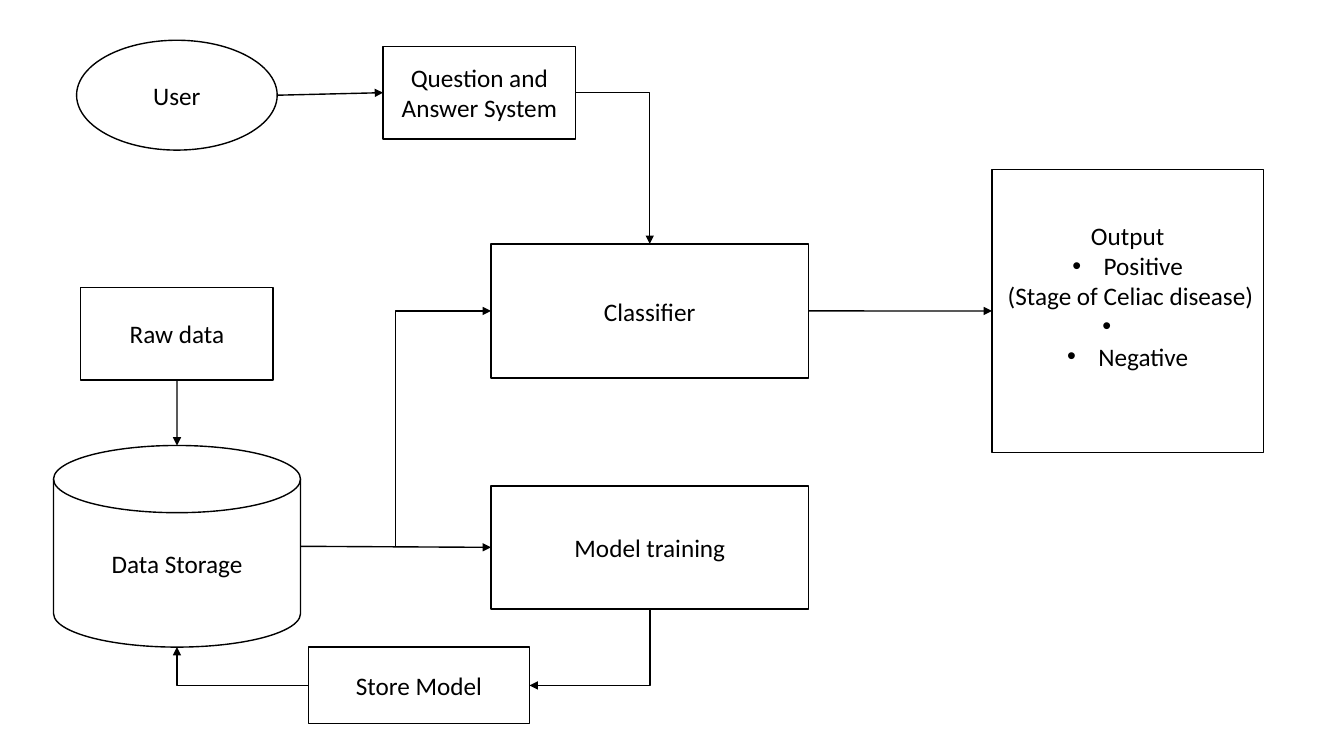
from dataclasses import dataclass

from lxml.etree import SubElement
from pptx import Presentation
from pptx.dml.color import RGBColor
from pptx.enum.shapes import MSO_CONNECTOR, MSO_SHAPE
from pptx.enum.text import MSO_ANCHOR, PP_ALIGN
from pptx.oxml.ns import qn
from pptx.util import Inches, Pt


@dataclass(frozen=True)
class Theme:
    """Colours, type and line sizes of the slide."""
    ink: RGBColor = RGBColor(0, 0, 0)
    paper: RGBColor = RGBColor(255, 255, 255)
    font: str = "Calibri"
    text_size: int = 18
    line_width: int = 1
    bullet_indent: float = 0.31


@dataclass(frozen=True)
class Box:
    """An area whose inner areas are given in percent of its size."""
    left: int
    top: int
    width: int
    height: int

    def area(self, x, y, width, height):
        """Return the area at the given percentages of this one."""
        return Box(int(self.left + self.width * x / 100),
                   int(self.top + self.height * y / 100),
                   int(self.width * width / 100),
                   int(self.height * height / 100))


THEME = Theme()
SIDES = ("top", "left", "bottom", "right")
# Connection site numbers of each preset, by side
SITES = {
    MSO_SHAPE.RECTANGLE: dict(zip(SIDES, (0, 1, 2, 3))),
    MSO_SHAPE.OVAL: dict(zip(SIDES, (0, 2, 4, 6))),
    MSO_SHAPE.FLOWCHART_MAGNETIC_DISK: dict(zip(SIDES, (1, 2, 3, 4))),
}


def write(frame, lines, bulleted=(), align=PP_ALIGN.CENTER,
          size=THEME.text_size, color=THEME.ink, bottom_inset=None):
    """Fill a text frame with one paragraph per line, bulleting some."""
    frame.word_wrap = True
    frame.vertical_anchor = MSO_ANCHOR.MIDDLE
    if bottom_inset is not None:
        frame.margin_bottom = bottom_inset
    for number, line in enumerate(lines):
        paragraph = frame.add_paragraph() if number else frame.paragraphs[0]
        paragraph.alignment = align
        run = paragraph.add_run()
        run.text = line
        run.font.name, run.font.size = THEME.font, Pt(size)
        run.font.color.rgb = color
        if number in bulleted:
            properties = paragraph._p.get_or_add_pPr()
            indent = Inches(THEME.bullet_indent)
            properties.set("marL", str(indent))
            properties.set("indent", str(-indent))
            SubElement(properties, qn("a:buFont")).set("typeface", "Arial")
            SubElement(properties, qn("a:buChar")).set("char", "•")


def add_node(slide, box, *lines, preset=MSO_SHAPE.RECTANGLE, **text_format):
    """Draw one outlined step of the flow with its label."""
    node = slide.shapes.add_shape(preset, box.left, box.top, box.width, box.height)
    node.shadow.inherit = False
    node.fill.solid()
    node.fill.fore_color.rgb = THEME.paper
    node.line.color.rgb = THEME.ink
    node.line.width = Pt(THEME.line_width)
    write(node.text_frame, lines, **text_format)
    return node


def side_point(node, side):
    """Return the middle of one side of a node."""
    across = {"left": 0, "right": node.width}.get(side, node.width // 2)
    down = {"top": 0, "bottom": node.height}.get(side, node.height // 2)
    return node.left + across, node.top + down


def turn_corner(arrow, start_side):
    """Give an elbow a single corner; one leaving a bottom runs down, then left."""
    arrow.element.spPr.find(qn("a:prstGeom")).set("prst", "bentConnector2")
    if start_side == "bottom":
        middle_x = arrow.left + arrow.width // 2
        middle_y = arrow.top + arrow.height // 2
        arrow.width, arrow.height = arrow.height, arrow.width
        arrow.left = middle_x - arrow.width // 2
        arrow.top = middle_y - arrow.height // 2
        frame = arrow.element.spPr.find(qn("a:xfrm"))
        frame.attrib.pop("flipH", None)
        frame.set("rot", str(90 * 60000))


def connect(slide, source, start_side, target, end_side, corners=0):
    """Draw an arrow glued to two nodes, with no, one or two corners."""
    kind = MSO_CONNECTOR.ELBOW if corners else MSO_CONNECTOR.STRAIGHT
    arrow = slide.shapes.add_connector(
        kind, *side_point(source, start_side), *side_point(target, end_side))
    arrow.line.color.rgb = THEME.ink
    arrow.line.width = Pt(THEME.line_width)
    if corners == 1:
        turn_corner(arrow, start_side)
    glue = arrow.element.nvCxnSpPr.cNvCxnSpPr
    for tag, node, side in (("a:stCxn", source, start_side),
                            ("a:endCxn", target, end_side)):
        site = SubElement(glue, qn(tag))
        site.set("id", str(node.shape_id))
        site.set("idx", str(SITES[node.auto_shape_type][side]))
    outline = arrow.element.spPr.find(qn("a:ln"))
    SubElement(outline, qn("a:tailEnd")).set("type", "triangle")
    SubElement(arrow.element.spPr, qn("a:effectLst"))


def build_query(slide, box):
    """Place the user and the question system; return the latter."""
    user = add_node(slide, box.area(0, 0, 40.2, 100), "User", preset=MSO_SHAPE.OVAL)
    questions = add_node(slide, box.area(61.41, 5.5, 38.59, 84.4),
                         "Question and Answer System")
    connect(slide, user, "right", questions, "left")
    return questions


def build_training(slide, box):
    """Place the data and model training loop; return the data storage."""
    raw_data = add_node(slide, box.area(3.6, 0, 25.5, 21.25), "Raw data")
    storage = add_node(slide, box.area(0, 36.26, 32.71, 46.19), "Data Storage",
                       preset=MSO_SHAPE.FLOWCHART_MAGNETIC_DISK)
    training = add_node(slide, box.area(57.94, 45.5, 42.06, 28.18), "Model training")
    store_model = add_node(slide, box.area(33.78, 82.45, 29.24, 17.55), "Store Model")
    connect(slide, raw_data, "bottom", storage, "top")
    connect(slide, storage, "right", training, "left")
    connect(slide, training, "bottom", store_model, "right", corners=1)
    connect(slide, store_model, "left", storage, "bottom", corners=1)
    return storage


def build_classification(slide, box):
    """Place the classifier and its output; return the classifier."""
    classifier = add_node(slide, box.area(0, 26.33, 41.12, 47.33), "Classifier")
    output = add_node(slide, box.area(64.88, 0, 35.12, 100),
                      "Output", "Positive", " (Stage of Celiac disease)",
                      "\t", "Negative", bulleted=(1, 3, 4),
                      bottom_inset=box.area(0, 0, 0, 12.6).height)
    connect(slide, classifier, "right", output, "left")
    return classifier


def build_flow(slide, box):
    """Place the three regions of the flow and join them."""
    questions = build_query(slide, box.area(5.7, 5.33, 37.13, 14.53))
    storage = build_training(slide, box.area(3.98, 38, 56.19, 57.73))
    classifier = build_classification(slide, box.area(36.53, 22.4, 57.46, 37.47))
    connect(slide, questions, "right", classifier, "top", corners=1)
    connect(slide, storage, "right", classifier, "left", corners=2)


def main():
    """Build and save the presentation."""
    deck = Presentation()
    deck.slide_width, deck.slide_height = Inches(13.33), Inches(7.5)
    slide = deck.slides.add_slide(deck.slide_layouts[6])
    build_flow(slide, Box(0, 0, deck.slide_width, deck.slide_height))
    deck.save("out.pptx")


main()
